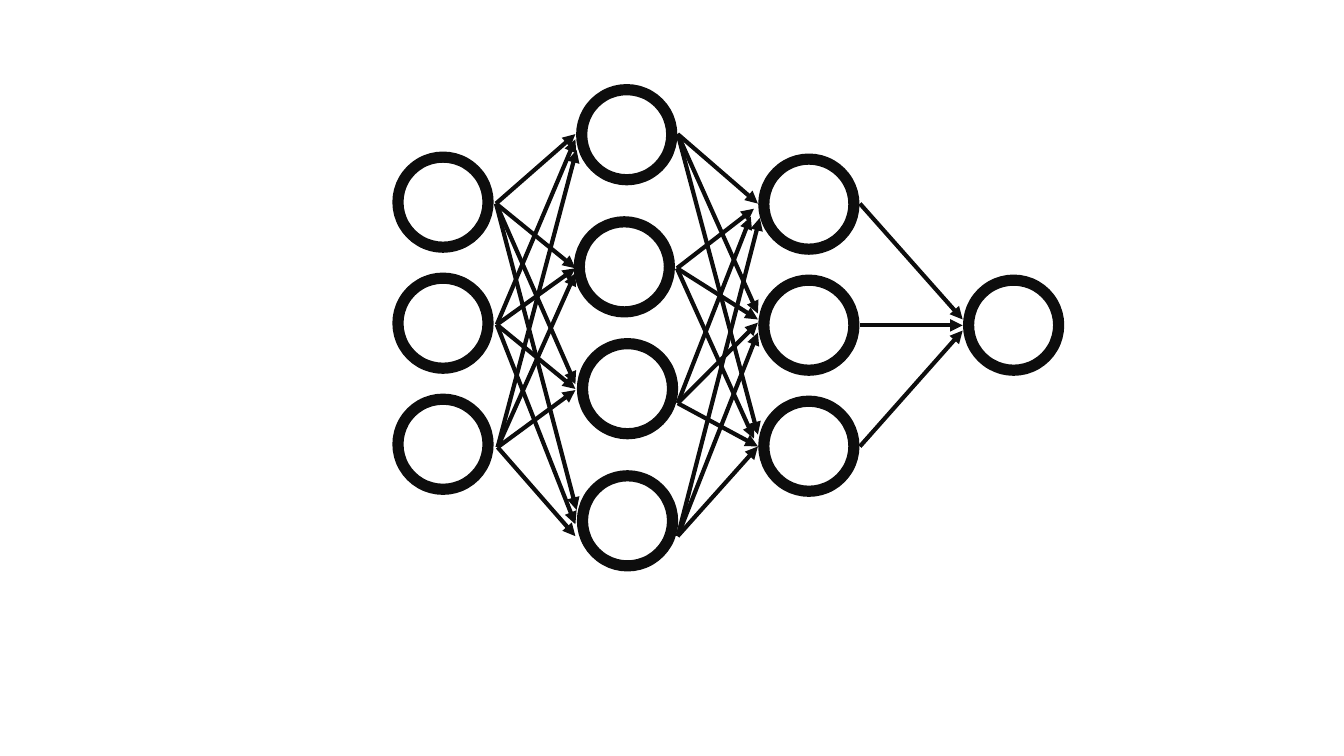
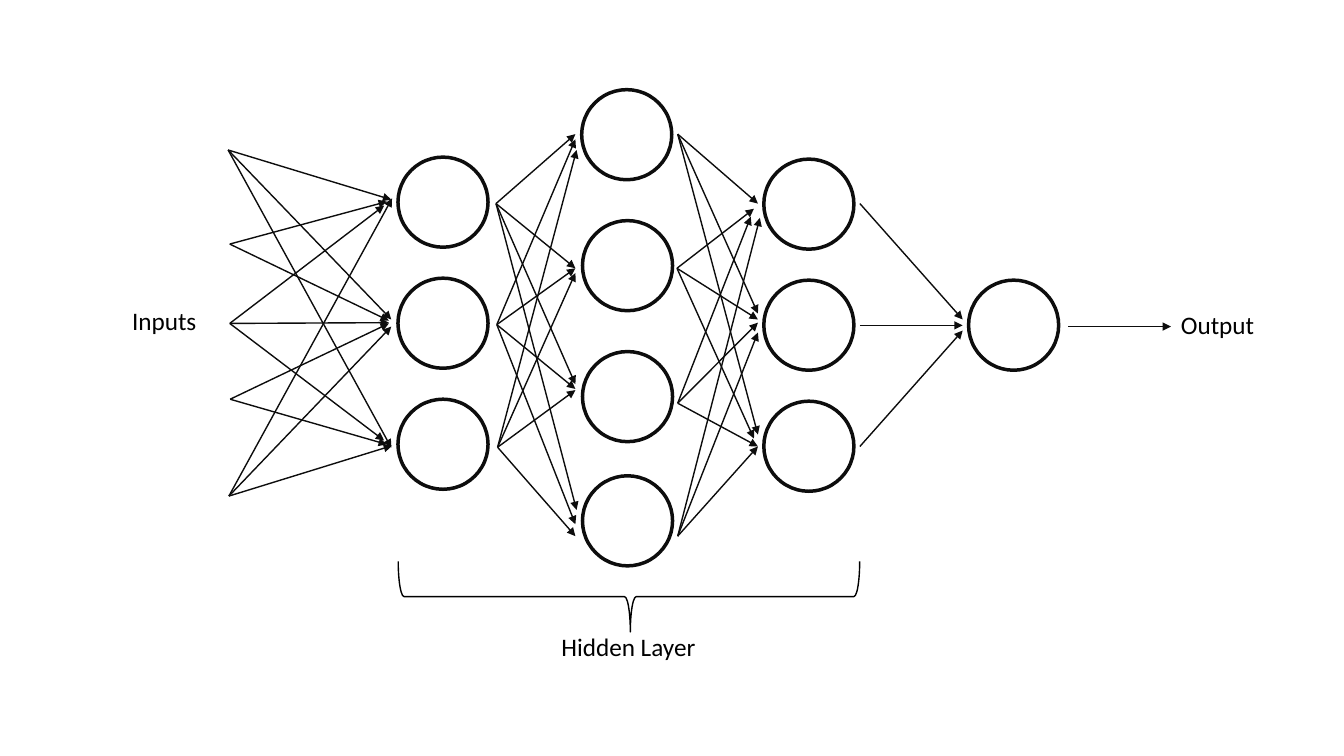
"""Build two slides of a feed-forward neural network, one bold and one annotated."""
from dataclasses import dataclass

from lxml.etree import SubElement
from pptx import Presentation
from pptx.dml.color import RGBColor
from pptx.enum.shapes import MSO_CONNECTOR as Connector, MSO_SHAPE as Shape
from pptx.enum.text import MSO_AUTO_SIZE as AutoSize
from pptx.oxml.ns import qn
from pptx.util import Cm, Pt


@dataclass(frozen=True)
class Theme:
    ink: RGBColor = RGBColor(0x0D, 0x0D, 0x0D)
    black: RGBColor = RGBColor(0, 0, 0)
    paper: RGBColor = RGBColor(255, 255, 255)
    font: str = "Calibri"
    label_size: float = 18
    thin: float = 1
    bold_node: float = 8
    bold_arrow: float = 3
    light_node: float = 2.5


DIAMETER = 2.27
ROW_STEP = 3.05


def column(left, top, count):
    return [(left, top + row * ROW_STEP) for row in range(count)]


OUTER_NODES = column(10.03, 3.96, 3) + column(19.25, 4.01, 3) + [(24.41, 7.06)]
BOLD_MIDDLE = [(14.66, 2.26), (14.6, 5.59), (14.68, 8.66), (14.68, 11.99)]
LIGHT_MIDDLE = [(14.66, 2.26), (14.68, 5.56), (14.68, 8.86), (14.68, 11.99)]

NETWORK_FANS = {
    (12.5, 5.13): [(14.5, 3.38), (14.5, 6.76), (14.5, 9.68), (14.53, 12.85)],
    (12.52, 8.18): [(14.5, 3.51), (14.5, 6.76), (14.5, 9.8), (14.5, 13.21)],
    (12.54, 11.27): [(14.53, 3.78), (14.5, 6.88), (14.5, 9.83), (14.5, 13.51)],
    (17.08, 3.38): [(19.1, 5.13), (19.1, 7.9), (19.1, 10.95)],
    (17.06, 6.76): [(19, 5.26), (19.1, 8.05), (19, 11.05)],
    (17.08, 10.16): [(18.92, 5.46), (19.1, 8.13), (19.1, 11.25)],
    (17.08, 13.51): [(19.15, 5.49), (19.1, 8.38), (19.1, 11.25)],
    (21.67, 5.13): [(24.26, 8.05)],
    (21.67, 8.2): [(24.26, 8.2)],
    (21.67, 11.25): [(24.26, 8.33)],
}
INPUT_FANS = {
    (5.75, 3.78): [(9.86, 5.03), (9.86, 8.05), (9.86, 11.28)],
    (5.79, 6.15): [(9.75, 5.08), (9.8, 8.08)],
    (5.79, 8.15): [(9.68, 5.18), (9.8, 8.13), (9.68, 11.1)],
    (5.8, 10.06): [(9.8, 8.15), (9.75, 11.2)],
    (5.77, 12.5): [(9.88, 5), (9.86, 8.23), (9.88, 11.23)],
}
OUTPUT_FAN = {(26.92, 8.23): [(29.51, 8.23)]}


def write(frame, text, *, font, size, color):
    span = frame.paragraphs[0].add_run()
    span.text = text
    span.font.name = font
    span.font.size = Pt(size)
    span.font.color.rgb = color


class Diagram:
    def __init__(self, theme):
        self.theme = theme
        self.deck = Presentation()
        self.deck.slide_width, self.deck.slide_height = Cm(33.87), Cm(19.05)
        self.page = None

    def new_page(self):
        self.page = self.deck.slides.add_slide(self.deck.slide_layouts[6])

    def outline(self, item, color, weight):
        item.line.color.rgb = color
        item.line.width = Pt(weight)

    def node(self, left, top, weight):
        circle = self.page.shapes.add_shape(
            Shape.OVAL, Cm(left), Cm(top), Cm(DIAMETER), Cm(DIAMETER))
        circle.shadow.inherit = False
        circle.fill.solid()
        circle.fill.fore_color.rgb = self.theme.paper
        self.outline(circle, self.theme.ink, weight)

    def arrow(self, start, tip, weight):
        ends = [Cm(length) for length in (*start, *tip)]
        line = self.page.shapes.add_connector(Connector.STRAIGHT, *ends)
        self.outline(line, self.theme.ink, weight)
        properties = line.element.spPr
        SubElement(properties.find(qn("a:ln")), qn("a:tailEnd"), type="triangle")
        SubElement(properties, qn("a:effectLst"))

    def fans(self, fans, weight):
        for start, tips in fans.items():
            for tip in tips:
                self.arrow(start, tip, weight)

    def network(self, middle, node_weight, arrow_weight):
        for left, top in OUTER_NODES + middle:
            self.node(left, top, node_weight)
        self.fans(NETWORK_FANS, arrow_weight)

    def label(self, text, left, top, width):
        box = self.page.shapes.add_textbox(Cm(left), Cm(top), Cm(width), Cm(1.03))
        box.text_frame.word_wrap = False
        box.text_frame.auto_size = AutoSize.SHAPE_TO_FIT_TEXT
        write(box.text_frame, text, font=self.theme.font,
              size=self.theme.label_size, color=self.theme.black)

    def brace(self, left, top, width, height):
        brace = self.page.shapes.add_shape(
            Shape.RIGHT_BRACE, Cm(left), Cm(top), Cm(width), Cm(height))
        brace.rotation = 90
        brace.adjustments[0], brace.adjustments[1] = 0.083, 0.497
        brace.shadow.inherit = False
        brace.fill.background()
        self.outline(brace, self.theme.black, self.theme.thin)


def main():
    theme = Theme()
    diagram = Diagram(theme)

    diagram.new_page()
    diagram.network(BOLD_MIDDLE, theme.bold_node, theme.bold_arrow)

    diagram.new_page()
    diagram.network(LIGHT_MIDDLE, theme.light_node, theme.thin)
    diagram.fans(INPUT_FANS | OUTPUT_FAN, theme.thin)
    diagram.label("Inputs", 3.08, 7.57, 2.16)
    diagram.label("Output", 29.51, 7.67, 2.39)
    diagram.label("Hidden Layer", 13.9, 15.78, 3.94)
    diagram.brace(14.96, 9.22, 1.78, 11.63)

    diagram.deck.save("out.pptx")


if __name__ == "__main__":
    main()
